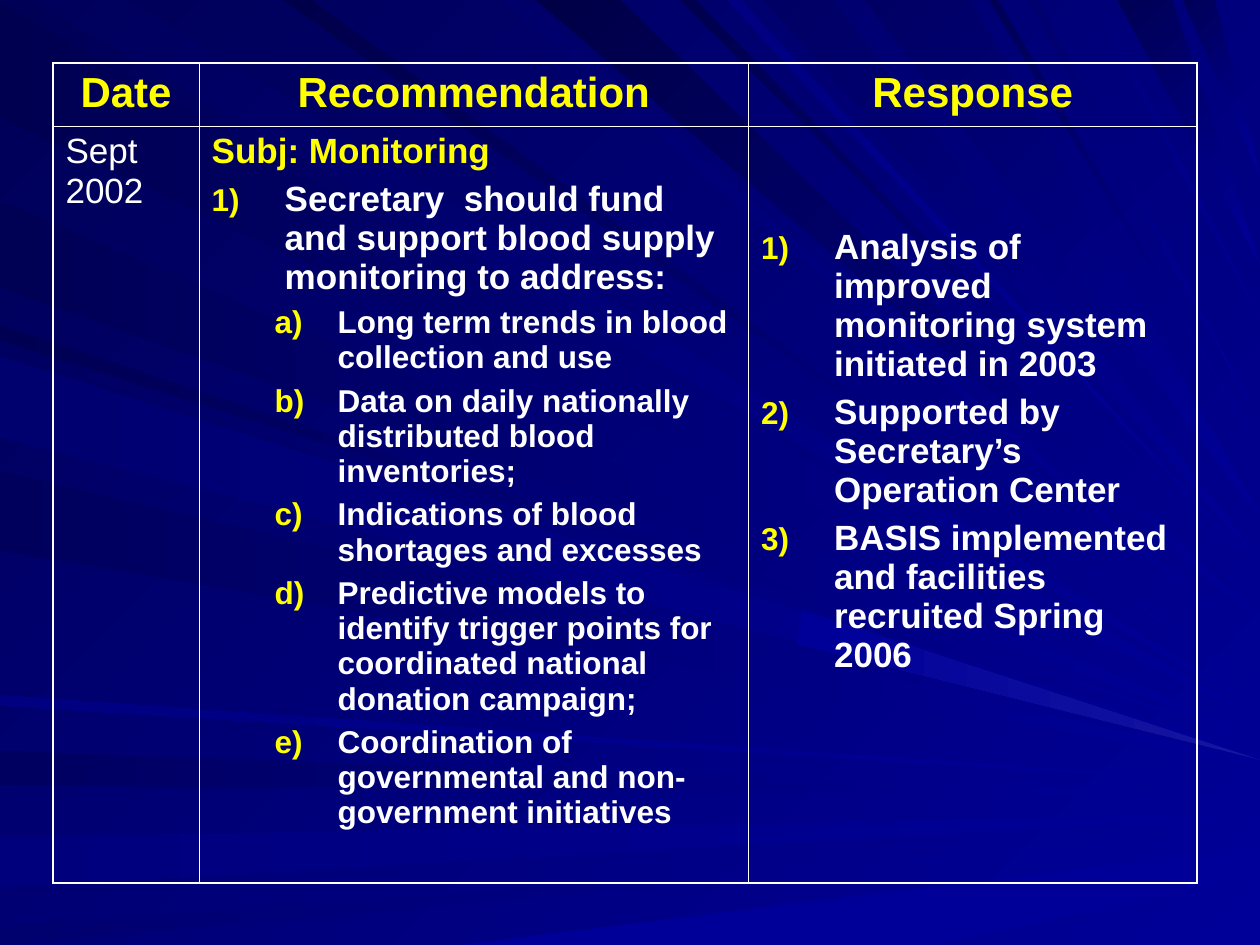
from lxml import etree
from pptx import Presentation
from pptx.dml.color import RGBColor
from pptx.enum import text
from pptx.oxml import ns
from pptx.util import Inches, Pt

YELLOW, WHITE = "FFFF00", "FFFFFF"
NAVY, BLUE, GLOW = "000057", "000099", "1616A1"
WIDTH, HEIGHT = 10, 7.5
LEFT_RAYS = [
    (0.02, 0.93, 5.7, "000051"),
    (1.59, 2.28, 5.85, "000055"),
    (2.58, 2.7, 5.89, "000053"),
    (2.78, 3.42, 6, "000060"),
    (3.74, 4.37, 6.06, "00005C"),
    (5.52, 5.6, 6.22, "000081"),
    (5.96, 6.23, 6.32, "000060"),
    (6.65, 7.04, 6.47, "00007C"),
    (7.35, 7.5, 6.62, "00006E"),
    (2.83, 3.47, 6.03, "00006E"),
]
TOP_RAYS = [
    (0.26, 1.01, 5.63, "00005C"),
    (2.25, 2.47, 5.5, "00004A"),
    (3.98, 4.16, 5.18, "00006A"),
    (4.26, 4.92, 4.93, "000046"),
    (5.4, 5.52, 4.63, "00004E"),
    (5.77, 5.88, 4.54, "000081"),
    (6.06, 6.61, 4.46, "000064"),
    (6.86, 7.7, 4.1, "000064"),
    (7.85, 7.92, 3.57, "000057"),
    (8.15, 8.24, 3.36, "00006E"),
    (8.65, 8.72, 2.53, "000078"),
    (8.87, 9.3, 2.1, "000055"),
    (9.39, 9.64, 1.4, "000059"),
]
GLOWS = [
    ([(3.64, HEIGHT), (WIDTH, 6.72), (WIDTH, 6.94), (7.42, HEIGHT)], BLUE, BLUE),
    ([(6.37, 4.85), (WIDTH, 6.03), (6.33, 5.11)], GLOW, BLUE),
]

STYLES = {
    "head": dict(size=24, color=YELLOW, bold=True, before=6, align=text.PP_ALIGN.CENTER),
    "date": dict(size=20, color=WHITE, bold=False, before=5),
    "subject": dict(size=20, color=YELLOW, bold=True, before=5, indent=0.58),
    "item": dict(size=20, color=WHITE, bold=True, before=5, indent=0.58, number=("arabicParenR", 90)),
    "subitem": dict(size=18, color=WHITE, bold=True, before=4.5, indent=0.5, left=1, level=1,
                    number=("alphaLcParenR", 100)),
}
COLUMNS = [1.16, 4.36, 3.56]
ROWS = [0.5, 6.01]
RESPONSE_TOP = 0.81
CELLS = [
    [[("head", "Date")], [("head", "Recommendation")], [("head", "Response")]],
    [
        [("date", "Sept 2002")],
        [
            ("subject", "Subj: Monitoring"),
            ("item", "Secretary  should fund and support blood supply monitoring to address:"),
            ("subitem", "Long term trends in blood collection and use"),
            ("subitem", "Data on daily nationally distributed blood inventories;"),
            ("subitem", "Indications of blood shortages and excesses"),
            ("subitem", "Predictive models to identify trigger points for coordinated national donation campaign;"),
            ("subitem", "Coordination of governmental and non-government initiatives"),
        ],
        [
            ("item", "Analysis of improved monitoring system initiated in 2003"),
            ("item", "Supported by Secretary’s Operation Center"),
            ("item", "BASIS implemented and facilities recruited Spring 2006"),
        ],
    ],
]


def rgb(value):
    return RGBColor.from_string(value)


def add(parent, tag, **attrs):
    return etree.SubElement(parent, ns.qn(tag), {k: str(v) for k, v in attrs.items()})


def paint(fill, start, end, angle):
    fill.gradient()
    fill.gradient_angle = 360 - angle
    for position, (stop, color) in enumerate(zip(fill.gradient_stops, (start, end))):
        stop.position = position
        stop.color.rgb = rgb(color)


def add_ray(s, points, start, end, angle):
    grid = [(round(x * 100), round(y * 100)) for x, y in points]
    builder = s.shapes.build_freeform(*grid[0], scale=Inches(0.01))
    builder.add_line_segments(grid[1:], close=True)
    sp = builder.convert_to_shape()
    sp.shadow.inherit = False
    paint(sp.fill, start, end, angle)
    sp.line.fill.background()


def add_rays(s):
    for y1, y2, tip, dark in LEFT_RAYS:
        add_ray(s, [(0, y1), (WIDTH, tip), (0, y2)], BLUE, dark, 180)
    for x1, x2, tip, dark in TOP_RAYS:
        add_ray(s, [(x1, 0), (WIDTH, tip), (x2, 0)], BLUE, dark, 225)
    for points, start, end in GLOWS:
        add_ray(s, points, start, end, 180)


def write(p, content, first, size, color, bold, before, align=None,
          indent=0, left=None, level=0, number=None):
    p.text = content
    p.level = level
    p.alignment = align
    p.space_before = Pt(0 if first else before)
    pPr = p._p.get_or_add_pPr()
    pPr.set("marL", str(Inches(indent if left is None else left)))
    pPr.set("indent", str(-Inches(indent)))
    if number:
        scheme, percent = number
        add(add(pPr, "a:buClr"), "a:srgbClr", val=YELLOW)
        add(pPr, "a:buSzPct", val=percent * 1000)
        add(pPr, "a:buAutoNum", type=scheme)
    else:
        add(pPr, "a:buNone")
    p.font.name = "Arial"
    p.font.size = Pt(size)
    p.font.bold = bold
    p.font.color.rgb = rgb(color)


def add_borders(cell, row, col):
    outer = {"L": col == 0, "R": col == len(COLUMNS) - 1, "T": row == 0, "B": row == len(ROWS) - 1}
    tcPr = cell._tc.get_or_add_tcPr()
    for side, is_outer in outer.items():
        ln = add(tcPr, "a:ln" + side, w=Pt(1.08 if is_outer else 0.45))
        add(add(ln, "a:solidFill"), "a:srgbClr", val=WHITE)


def add_recommendations(s):
    frame = s.shapes.add_table(len(ROWS), len(COLUMNS), Inches(0.42), Inches(0.5),
                               Inches(sum(COLUMNS)), Inches(sum(ROWS)))
    table = frame.table
    table.first_row = table.horz_banding = False
    for column, width in zip(table.columns, COLUMNS):
        column.width = Inches(width)
    for row, height in zip(table.rows, ROWS):
        row.height = Inches(height)
    for r, line in enumerate(CELLS):
        for c, paragraphs in enumerate(line):
            cell = table.cell(r, c)
            add_borders(cell, r, c)
            cell.fill.background()
            cell.margin_left = cell.margin_right = Inches(0.1)
            cell.margin_top = cell.margin_bottom = Inches(0.05)
            tf = cell.text_frame
            for i, (style, content) in enumerate(paragraphs):
                p = tf.add_paragraph() if i else tf.paragraphs[0]
                write(p, content, i == 0, **STYLES[style])
    table.cell(1, 2).margin_top = Inches(RESPONSE_TOP)


def main():
    prs = Presentation()
    prs.slide_width, prs.slide_height = Inches(WIDTH), Inches(HEIGHT)
    s = prs.slides.add_slide(prs.slide_layouts[6])
    paint(s.background.fill, BLUE, NAVY, 225)
    add_rays(s)
    add_recommendations(s)
    prs.save("out.pptx")


if __name__ == "__main__":
    main()
